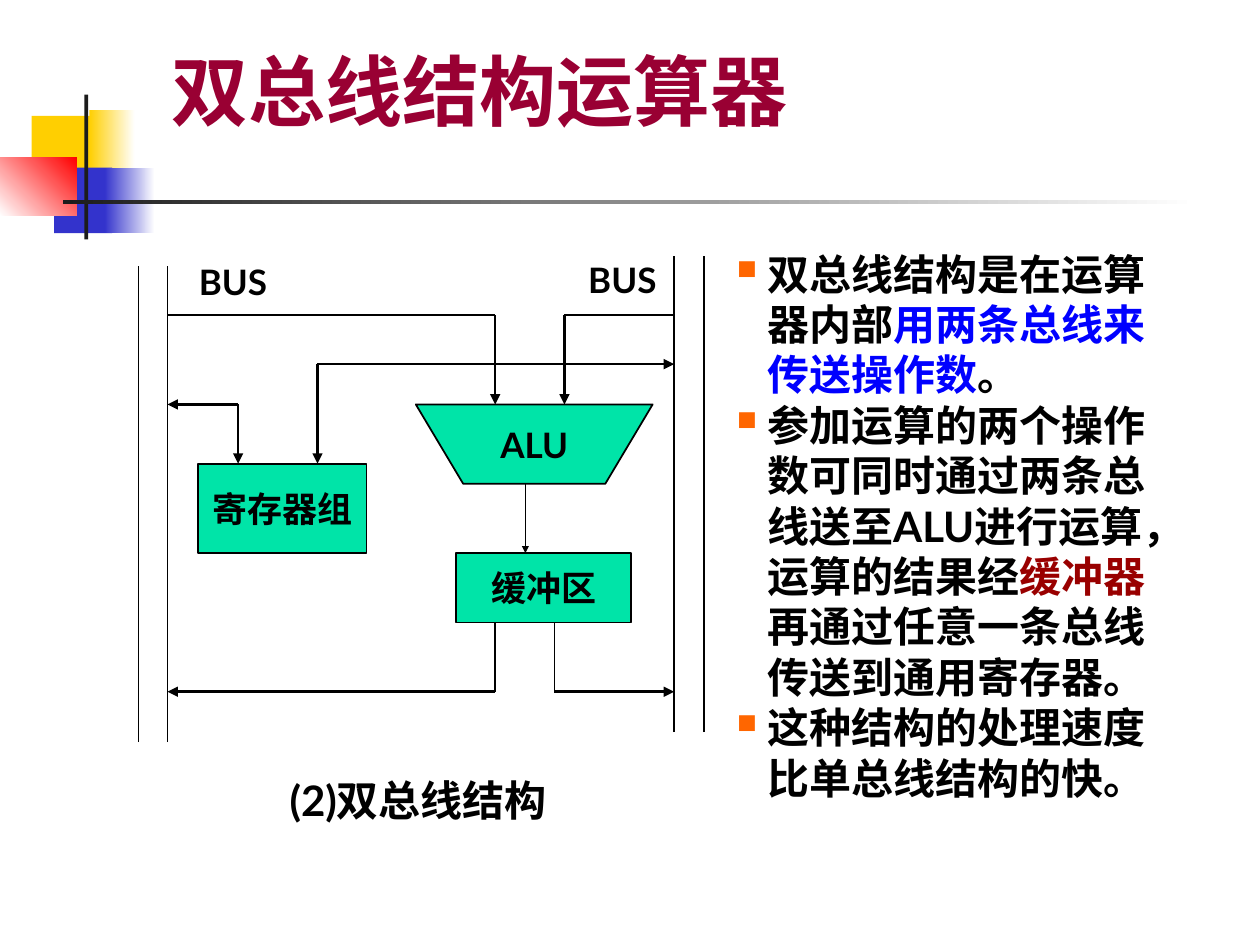
from lxml.etree import SubElement
from pptx import Presentation
from pptx.dml.color import RGBColor
from pptx.enum.shapes import MSO_CONNECTOR as CONN, MSO_SHAPE as SHAPE
from pptx.enum.text import MSO_ANCHOR as ANCHOR, PP_ALIGN as ALIGN
from pptx.oxml.ns import qn
from pptx.util import Inches, Pt

COLS, ROWS = 100, 75
CELL = Inches(10) // COLS
FONT = "Lato"
BLACK, GREEN, WHITE = "000000", "00E4A8", "FFFFFF"
YELLOW, BLUE, RED, DARK = "FFCF01", "3333CC", "FF0000", "1C1C1C"
HIGHLIGHT, MAROON, TITLE, BULLET = "0000FF", "990000", "990033", "FF6600"

LEFT_BUS, RIGHT_BUS = 13.3, 53.5
FEED, SHARE, ALU_TOP, REG_TOP, ALU_END = 25, 28.9, 32.1, 36.8, 38.4
BUF_TOP, BUF_END, RESULT = 43.9, 49.4, 54.9
IN_A, IN_B, OUT_B, MID = 39.3, 44.8, 44, 41.7
REG_A, REG_B = 18.9, 25.2

DECOR = [
    ((2.5, 9.2, 4.8, 5.2), (YELLOW,), 0),
    ((7.1, 8.7, 3.6, 5.2), (YELLOW, WHITE), 0),
    ((4.3, 13.3, 4.6, 5.2), (BLUE,), 0),
    ((8.3, 13.3, 4, 5.2), (BLUE, WHITE), 0),
    ((0, 12.5, 6.1, 4.6), (WHITE, RED), 45),
    ((6.7, 7.5, 0.3, 11.5), (DARK,), 0),
    ((5, 15.9, 90, 0.3), (DARK, WHITE), 0),
]
BLOCKS = [
    (SHAPE.RECTANGLE, (15.7, REG_TOP, 13.4, 7.1), "寄存器组"),
    (SHAPE.FLOWCHART_MANUAL_OPERATION, (33, ALU_TOP, 18.8, 6.3), "ALU"),
    (SHAPE.RECTANGLE, (36.2, BUF_TOP, 13.9, 5.5), "缓冲区"),
]
WIRES = [
    (LEFT_BUS, 58.9, LEFT_BUS, 21.1),
    (11, 58.9, 11, 21.1),
    (RIGHT_BUS, 58.1, RIGHT_BUS, 20.3),
    (55.9, 58.1, 55.9, 20.3),
    (LEFT_BUS, FEED, IN_A, FEED),
    (IN_B, FEED, RIGHT_BUS, FEED),
    (IN_A, BUF_END, IN_A, RESULT),
    (OUT_B, BUF_END, OUT_B, RESULT),
]
ARROWS = [
    (IN_A, FEED, IN_A, ALU_TOP),
    (IN_B, FEED, IN_B, ALU_TOP),
    (REG_A, ALU_TOP, REG_A, REG_TOP),
    (REG_A, ALU_TOP, LEFT_BUS, ALU_TOP),
    (REG_B, SHARE, REG_B, REG_TOP),
    (REG_B, SHARE, RIGHT_BUS, SHARE),
    (IN_A, RESULT, LEFT_BUS, RESULT),
    (OUT_B, RESULT, RIGHT_BUS, RESULT),
]
POINTS = [
    [("双总线结构是在运算器内部", BLACK), ("用两条总线来传送操作数", HIGHLIGHT),
     ("。", BLACK)],
    [("参加运算的两个操作数可同时通过两条总线送至ALU进行运算，运算的结果经", BLACK),
     ("缓冲器", MAROON), ("再通过任意一条总线传送到通用寄存器。", BLACK)],
    [("这种结构的处理速度比单总线结构的快。", BLACK)],
]


def rgb(value):
    return RGBColor.from_string(value)


def cells(*values):
    return [round(v * CELL) for v in values]


def add_run(p, text, size, color=BLACK):
    r = p.add_run()
    r.text = text
    for name, value in {"name": FONT, "size": Pt(size), "bold": True}.items():
        setattr(r.font, name, value)
    r.font.color.rgb = rgb(color)


def add_decor(slide, box, colors, angle):
    sp = slide.shapes.add_shape(SHAPE.RECTANGLE, *cells(*box))
    sp.shadow.inherit = False
    sp.line.fill.background()
    if len(colors) == 1:
        sp.fill.solid()
        sp.fill.fore_color.rgb = rgb(colors[0])
        return
    sp.fill.gradient()
    sp.fill.gradient_angle = angle
    for stop, color in zip(sp.fill.gradient_stops, colors):
        stop.color.rgb = rgb(color)


def add_block(slide, kind, box, text):
    sp = slide.shapes.add_shape(kind, *cells(*box))
    sp.shadow.inherit = False
    sp.fill.solid()
    sp.fill.fore_color.rgb = rgb(GREEN)
    sp.line.color.rgb = rgb(BLACK)
    sp.line.width = Pt(1)
    tf = sp.text_frame
    tf.word_wrap = False
    tf.vertical_anchor = ANCHOR.MIDDLE
    p = tf.paragraphs[0]
    p.alignment = ALIGN.CENTER
    add_run(p, text, 20)


def add_wire(slide, ends, width=1, head=None):
    c = slide.shapes.add_connector(CONN.STRAIGHT, *cells(*ends))
    c.line.color.rgb = rgb(BLACK)
    c.line.width = Pt(width)
    pr = c._element.spPr
    if head:
        SubElement(pr.find(qn("a:ln")), qn("a:tailEnd"),
                   type="triangle", w=head, len=head)
    SubElement(pr, qn("a:effectLst"))


def add_text(slide, box, text, size, color=BLACK, **format_values):
    tf = slide.shapes.add_textbox(*cells(*box)).text_frame
    for name, value in format_values.items():
        setattr(tf, name, value)
    add_run(tf.paragraphs[0], text, size, color)


def add_bullet(p):
    pr = p._p.get_or_add_pPr()
    indent = Inches(0.24)
    for name, value in {"marL": indent, "indent": -indent,
                        "hangingPunct": 0}.items():
        pr.set(name, str(value))
    SubElement(SubElement(pr, qn("a:buClr")), qn("a:srgbClr"), val=BULLET)
    SubElement(pr, qn("a:buSzPct"), val="65000")
    SubElement(pr, qn("a:buFont"), typeface="Wingdings", charset="2")
    SubElement(pr, qn("a:buChar"), char="n")


def add_points(slide, box, points):
    tf = slide.shapes.add_textbox(*cells(*box)).text_frame
    tf.word_wrap = True
    for i, parts in enumerate(points):
        p = tf.add_paragraph() if i else tf.paragraphs[0]
        add_bullet(p)
        for text, color in parts:
            add_run(p, text, 24, color)


def main():
    prs = Presentation()
    prs.slide_width, prs.slide_height = CELL * COLS, CELL * ROWS
    s = prs.slides.add_slide(prs.slide_layouts[6])
    for item in DECOR:
        add_decor(s, *item)
    for item in BLOCKS:
        add_block(s, *item)
    for ends in WIRES:
        add_wire(s, ends)
    for ends in ARROWS:
        add_wire(s, ends, 1.5, "med")
    add_wire(s, (MID, ALU_END, MID, BUF_TOP), 1, "sm")
    add_points(s, (57.5, 19.2, 37.5, 45), POINTS)
    add_text(s, (22, 61, 27.3, 5), "(2)双总线结构", 24, word_wrap=True)
    for left, top in ((14.8, 20.2), (45.7, 20)):
        add_text(s, (left, top, 7.5, 4.4), "BUS", 20, word_wrap=False)
    add_text(s, (12.6, -0.9, 85.2, 16), "双总线结构运算器", 44, TITLE,
             word_wrap=True, vertical_anchor=ANCHOR.MIDDLE)
    prs.save("out.pptx")


if __name__ == "__main__":
    main()
